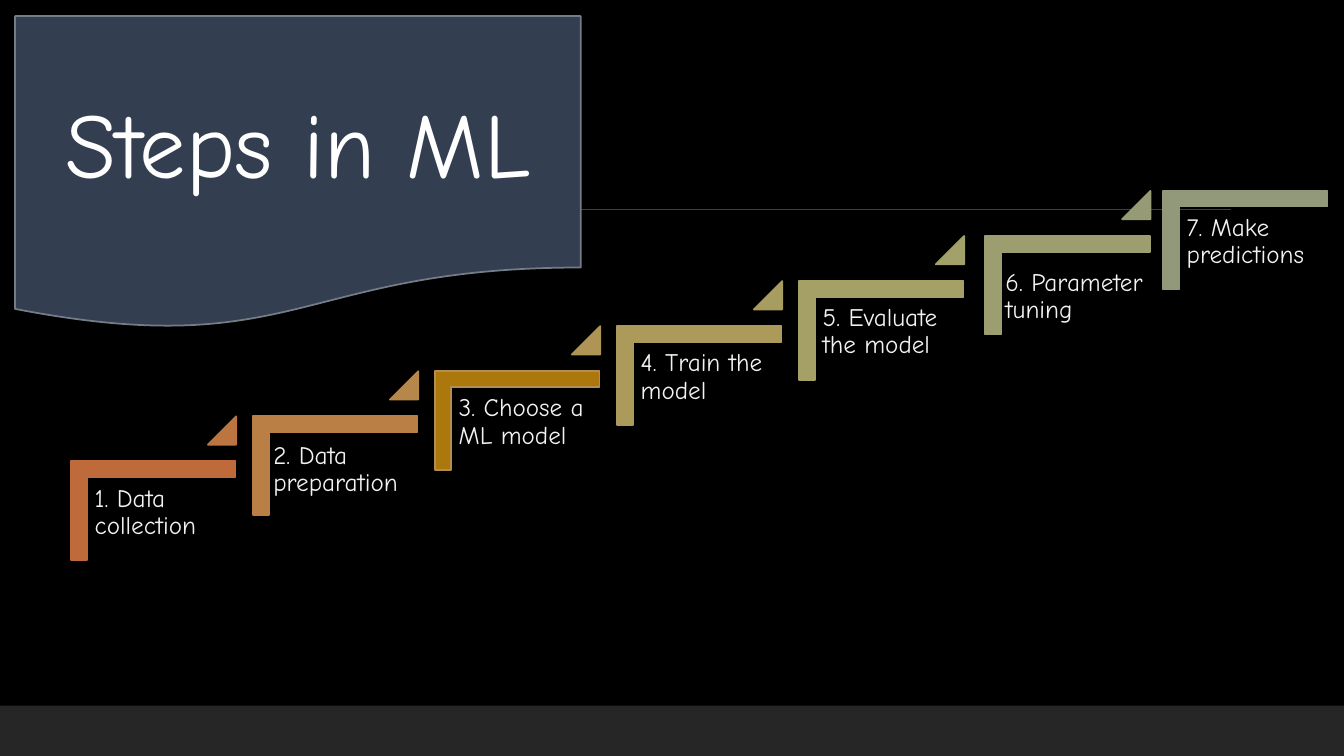
from dataclasses import dataclass

from pptx import Presentation
from pptx.dml.color import RGBColor
from pptx.enum.shapes import MSO_CONNECTOR as Connector, MSO_SHAPE as Preset
from pptx.enum.text import MSO_ANCHOR as Anchor, PP_ALIGN as Align
from pptx.oxml.ns import qn
from pptx.shapes.autoshape import Shape
from pptx.slide import Slide
from pptx.text.text import TextFrame
from pptx.util import Pt
from lxml.etree import SubElement

FONT = "Comic Neue"
COLORS = {
    "background": "000000",
    "footer": "262626",
    "rule": "404040",
    "banner": "333F50",
    "banner_edge": "737C87",
    "title": "FFFFFF",
    "label": "F2F2F2",
}

# First bracket before its quarter turn, and the climb from step to step
FIRST_LEFT, FIRST_TOP = 74.2, 306
RUN, RISE = 130, 32.2
BRACKET = Preset.from_xml("corner")
BRACKET_WIDTH, BRACKET_HEIGHT = 70.6, 117.4
ARROW_SIZE = 20.2


@dataclass
class Step:
    label: str
    color: str
    arrow: str = ""
    edge: str = ""
    shift: float = 0
    label_left: float = -12
    label_top: float = 35.2
    label_width: float = 106.6


STEPS = [
    Step("1. Data collection", "BF6A3B", "BC7540"),
    Step("2. Data preparation", "BA7F44", "B6874A",
         label_left=-14.4, label_top=36.7, label_width=118),
    Step("3. Choose a ML model", "AC770D", "AF9555", edge="B38F4F"),
    Step("4. Train the model", "AC9A5A", "A89D60"),
    Step("5. Evaluate the model", "A5A065", "A2A16A"),
    Step("6. Parameter tuning", "9C9E70", "969B75", shift=3,
         label_left=-14.4, label_top=42.3, label_width=135.4),
    Step("7. Make predictions", "92987A"),
]


def rgb(color: str) -> RGBColor:
    return RGBColor.from_string(color)


def add_preset(page: Slide, preset: Preset, left: float, top: float, width: float,
               height: float, *, fill: str, edge: str = "") -> Shape:
    shape = page.shapes.add_shape(preset, Pt(left), Pt(top), Pt(width), Pt(height))
    shape.shadow.inherit = False
    shape.fill.solid()
    shape.fill.fore_color.rgb = rgb(fill)
    if edge:
        shape.line.color.rgb = rgb(edge)
        shape.line.width = Pt(1.25)
    else:
        shape.line.fill.background()
    return shape


def write(frame: TextFrame, text: str, *, size: float, color: str,
          align: Align = Align.LEFT, spacing: float = 1.0) -> None:
    frame.word_wrap = True
    para = frame.paragraphs[0]
    para.alignment = align
    para.line_spacing = spacing
    span = para.add_run()
    span.text = text
    span.font.name = FONT
    span.font.size = Pt(size)
    span.font.color.rgb = rgb(color)


def add_backdrop(page: Slide) -> None:
    """Black background, footer band and thin rule."""
    page.background.fill.solid()
    page.background.fill.fore_color.rgb = rgb(COLORS["background"])
    add_preset(page, Preset.RECTANGLE, 0, 504, 960, 36, fill=COLORS["footer"])
    rule = page.shapes.add_connector(
        Connector.STRAIGHT, Pt(94.3), Pt(149.6), Pt(879), Pt(149.6))
    rule.line.color.rgb = rgb(COLORS["rule"])
    rule.line.width = Pt(1)
    SubElement(rule.element.spPr, qn("a:effectLst"))


def add_step(page: Slide, index: int, step: Step) -> None:
    left = FIRST_LEFT + index * RUN + step.shift
    top = FIRST_TOP - index * RISE

    bracket = add_preset(page, BRACKET, left, top, BRACKET_WIDTH, BRACKET_HEIGHT,
                         fill=step.color, edge=step.edge or step.color)
    bracket.rotation = 90
    for number in range(2):
        bracket.adjustments[number] = 0.161

    box = page.shapes.add_textbox(Pt(left + step.label_left), Pt(top + step.label_top),
                                  Pt(step.label_width), Pt(92.9))
    frame = box.text_frame
    frame.margin_left = frame.margin_right = Pt(5.4)
    frame.margin_top = frame.margin_bottom = Pt(5.4)
    write(frame, step.label, size=18, color=COLORS["label"], spacing=0.9)

    if step.arrow:
        arrow = add_preset(page, Preset.ISOSCELES_TRIANGLE, left + 74.3, top - 8.6,
                           ARROW_SIZE, ARROW_SIZE, fill=step.arrow, edge=step.arrow)
        arrow.adjustments[0] = 1


def add_title(page: Slide) -> None:
    banner = add_preset(page, Preset.FLOWCHART_DOCUMENT, 10.8, 11.5, 404, 224,
                        fill=COLORS["banner"], edge=COLORS["banner_edge"])
    banner.text_frame.vertical_anchor = Anchor.MIDDLE
    write(banner.text_frame, "Steps in ML", size=66, color=COLORS["title"],
          align=Align.CENTER)


def main() -> None:
    deck = Presentation()
    deck.slide_width, deck.slide_height = Pt(960), Pt(540)
    page = deck.slides.add_slide(deck.slide_layouts[6])
    add_backdrop(page)
    for index, step in enumerate(STEPS):
        add_step(page, index, step)
    add_title(page)
    deck.save("out.pptx")


if __name__ == "__main__":
    main()
